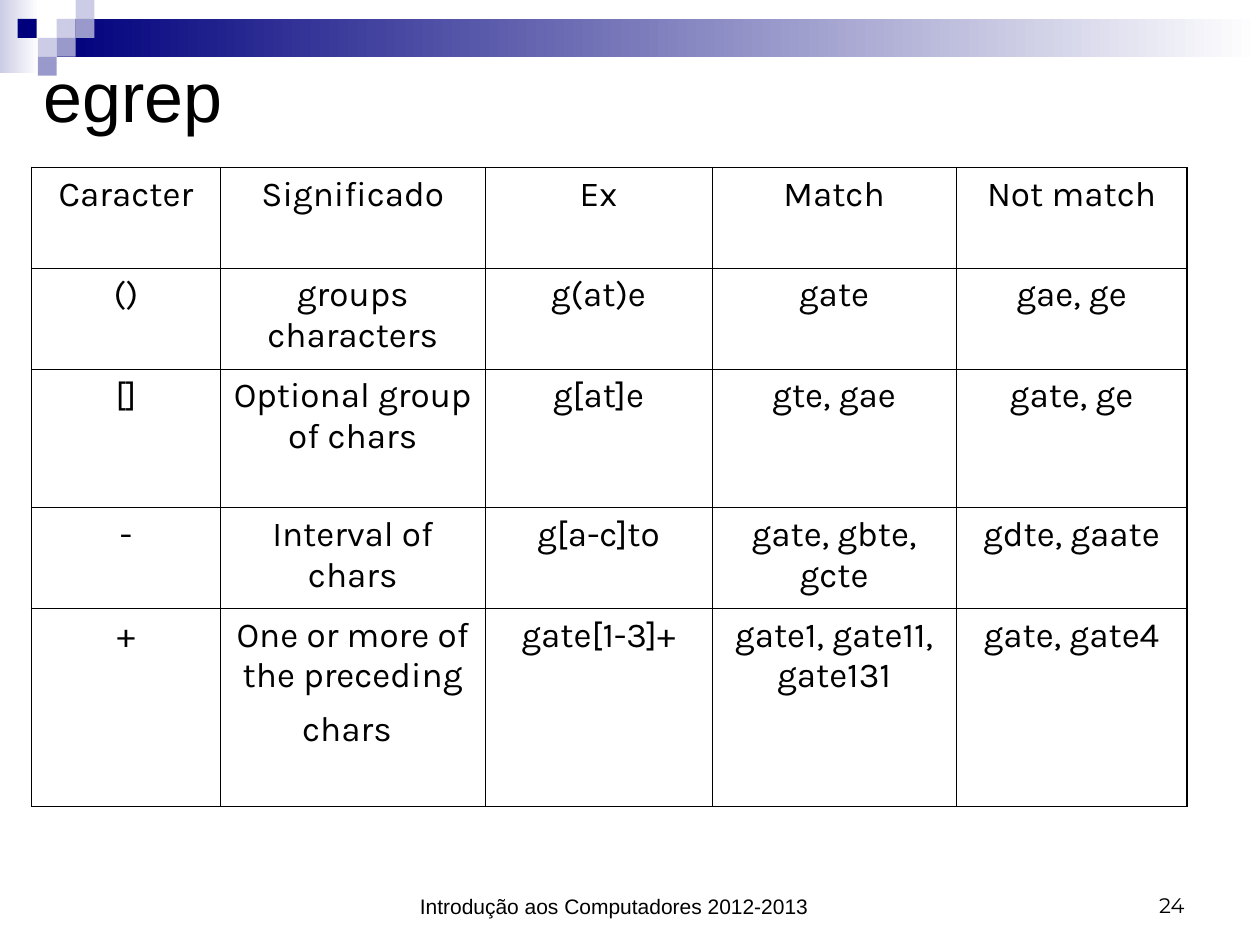
from lxml import etree
from pptx import Presentation
from pptx import util as u
from pptx.dml.color import RGBColor
from pptx.enum import shapes, text
from pptx.oxml.ns import qn

color = RGBColor.from_string


def write(frame, content, font="Arial", size=12, fill="000000",
          align=text.PP_ALIGN.LEFT, anchor=text.MSO_ANCHOR.TOP):
    """Set the text of a text frame; return its paragraph."""
    frame.word_wrap = True
    frame.vertical_anchor = anchor
    paragraph = frame.paragraphs[0]
    paragraph.alignment = align
    run = paragraph.add_run()
    run.text = content
    run.font.name = font
    run.font.size = u.Pt(size)
    run.font.color.rgb = color(fill)
    return paragraph


presentation = Presentation()
presentation.slide_width = u.Inches(10)
presentation.slide_height = u.Inches(7.5)
slide = presentation.slides.add_slide(presentation.slide_layouts[6])

# Header band and mosaic: left, top, width, height, colour, fades to white
square = 0.15
header = [
    (0, 0, 0.31, 0.58, "CCCCE6", True),
    (0.45, 0.15, 9.55, 0.3, "00007D", True),
    (0.45, 0.15, square, square, "CCCCE6", False),
    (0.6, 0, square, square, "CCCCE6", False),
    (0.6, 0.15, square, square, "9999CC", False),
    (0.3, 0.3, square, square, "CCCCE6", False),
    (0.14, 0.15, square, square, "00007D", False),
    (0.45, 0.3, square, square, "9999CC", False),
    (0.3, 0.45, square, square, "9999CC", False),
]
for *box, fill, fades in header:
    shape = slide.shapes.add_shape(shapes.MSO_SHAPE.RECTANGLE, *map(u.Inches, box))
    shape.shadow.inherit = False
    shape.line.fill.background()
    if fades:
        shape.fill.gradient()
        shape.fill.gradient_angle = 180
        for stop, stop_color in zip(shape.fill.gradient_stops, ("FFFFFF", fill)):
            stop.color.rgb = color(stop_color)
    else:
        shape.fill.solid()
        shape.fill.fore_color.rgb = color(fill)

# Title, slide number and footer
labels = [
    ((0.25, 0, 9.58, 1.5), "egrep",
     dict(size=40, anchor=text.MSO_ANCHOR.MIDDLE)),
    ((7.17, 6.83, 2.33, 0.5), "24",
     dict(font="Montserrat", align=text.PP_ALIGN.RIGHT, anchor=text.MSO_ANCHOR.BOTTOM)),
    ((2, 6.92, 5.75, 0.42), "Introdução aos Computadores 2012-2013",
     dict(align=text.PP_ALIGN.CENTER, anchor=text.MSO_ANCHOR.BOTTOM)),
]
for box, content, style in labels:
    textbox = slide.shapes.add_textbox(*map(u.Inches, box))
    write(textbox.text_frame, content, **style)

# Table of operators
rows = [
    ("Caracter", "Significado", "Ex", "Match", "Not match"),
    ("()", "groups characters", "g(at)e", "gate", "gae, ge"),
    ("[]", "Optional group of chars", "g[at]e", "gte, gae", "gate, ge"),
    ("-", "Interval of chars", "g[a-c]to", "gate, gbte, gcte", "gdte, gaate"),
    ("+", "One or more of the preceding chars", "gate[1-3]+",
     "gate1, gate11, gate131", "gate, gate4"),
]
widths = [1.5, 2.1, 1.8, 1.94, 1.83]
heights = [0.8, 0.8, 1.1, 0.8, 1.57]
last_row, last_column = len(rows) - 1, len(widths) - 1
table = slide.shapes.add_table(
    len(rows), len(widths), u.Inches(0.25), u.Inches(1.33),
    u.Inches(sum(widths)), u.Inches(sum(heights))).table
table.first_row = False
table.horz_banding = False
for column, width in zip(table.columns, widths):
    column.width = u.Inches(width)
for row, height in zip(table.rows, heights):
    row.height = u.Inches(height)

for r, row in enumerate(rows):
    for c, content in enumerate(row):
        cell = table.cell(r, c)
        paragraph = write(cell.text_frame, content, font="Karla", size=20,
                          align=text.PP_ALIGN.CENTER)
        if (r, c) == (last_row, 1):
            # A larger closing space makes the last line taller
            spacer = paragraph.add_run()
            spacer.text = " "
            spacer.font.name = "Karla"
            spacer.font.size = u.Pt(28)

        # Thin grid with a heavier outer frame
        heavy = {"L": c == 0, "R": c == last_column,
                 "T": r == 0 and c < last_column, "B": r == last_row}
        properties = cell._tc.get_or_add_tcPr()
        for side, is_heavy in heavy.items():
            line = etree.SubElement(properties, qn("a:ln" + side),
                                    w=str(u.Pt(1.08 if is_heavy else 0.45)))
            solid = etree.SubElement(line, qn("a:solidFill"))
            etree.SubElement(solid, qn("a:srgbClr"), val="000000")
        cell.fill.background()

presentation.save("out.pptx")
